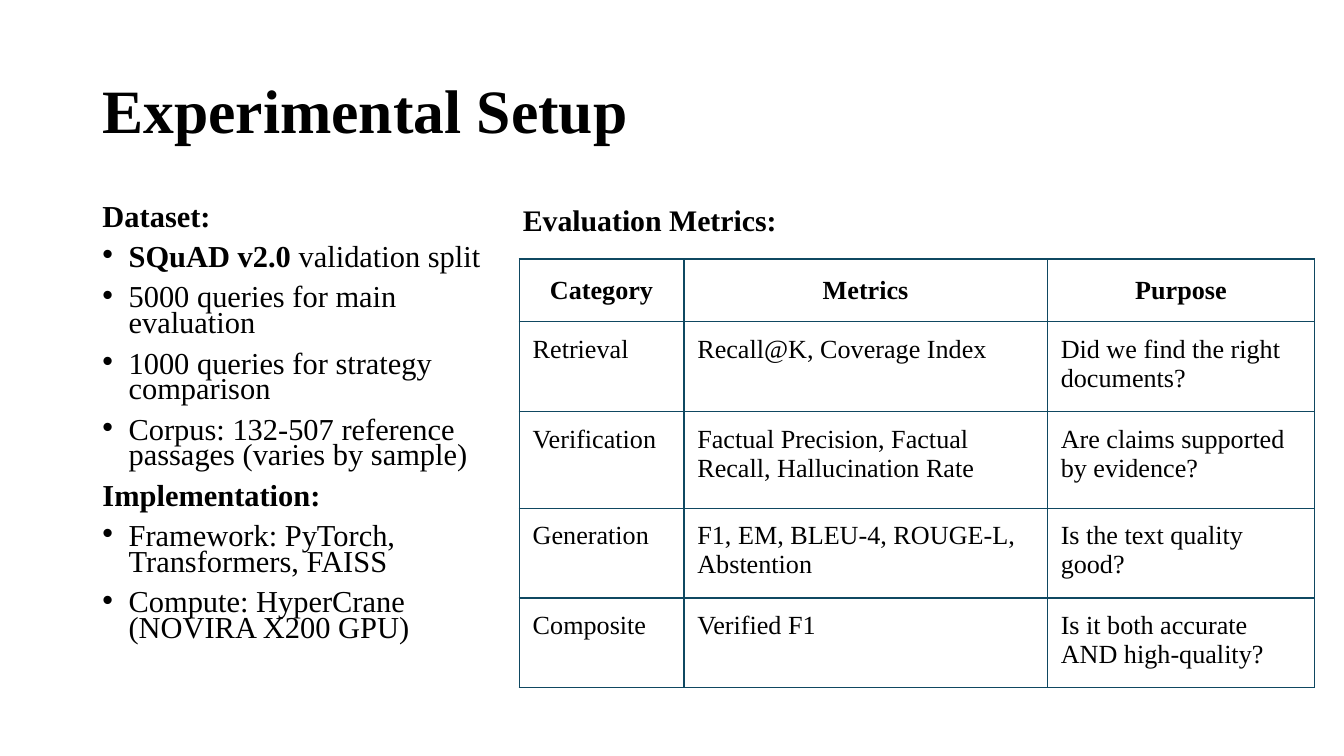
from lxml.etree import SubElement
from pptx import Presentation
from pptx.dml.color import RGBColor
from pptx.enum.text import MSO_ANCHOR, MSO_AUTO_SIZE, PP_ALIGN
from pptx.oxml.ns import qn
from pptx.util import Pt

# Content
TITLE = "Experimental Setup"
SECTIONS = [
    ("Dataset:", [
        ("SQuAD v2.0", " validation split"),
        ("", "5000 queries for main evaluation"),
        ("", "1000 queries for strategy comparison"),
        ("", "Corpus: 132-507 reference passages (varies by sample)"),
    ]),
    ("Implementation:", [
        ("", "Framework: PyTorch, Transformers, FAISS"),
        ("", "Compute: HyperCrane (NOVIRA X200 GPU)"),
    ]),
]
METRICS_HEADING = "Evaluation Metrics:"
METRICS = [
    ("Category", "Metrics", "Purpose"),
    ("Retrieval", "Recall@K, Coverage Index", "Did we find the right documents?"),
    ("Verification", "Factual Precision, Factual Recall, Hallucination Rate",
     "Are claims supported by evidence?"),
    ("Generation", "F1, EM, BLEU-4, ROUGE-L, Abstention", "Is the text quality good?"),
    ("Composite", "Verified F1", "Is it both accurate AND high-quality?"),
]

# Style and layout, in points
FONT = "Times New Roman"
BLACK = RGBColor(0x00, 0x00, 0x00)
BORDER = RGBColor(0x0F, 0x48, 0x61)
BORDER_WIDTH = Pt(0.75)
TITLE_BOX = (49.5, 21.6, 621, 78.3)
BODY_BOX = (49.5, 108, 216, 257)
HEADING_BOX = (273, 103, 236, 31.7)
TABLE_CORNER = (278.2, 138.7)
COLUMN_WIDTHS = (88.2, 194.7, 143.3)
ROW_HEIGHTS = (27.4, 42, 51.8, 44.6, 44.6)
BULLET_INDENT = 14


def set_font(paragraph, size, bold=None):
    font = paragraph.font
    font.name, font.size, font.bold = FONT, Pt(size), bold
    font.color.rgb = BLACK


def place(shape, box):
    shape.left, shape.top, shape.width, shape.height = map(Pt, box)


def set_margins(target, horizontal, vertical):
    target.margin_left = target.margin_right = Pt(horizontal)
    target.margin_top = target.margin_bottom = Pt(vertical)


def set_bullet(paragraph, indent):
    properties = paragraph._p.get_or_add_pPr()
    properties.set("marL", str(Pt(indent)))
    properties.set("indent", str(-Pt(indent)))
    if indent:
        SubElement(properties, qn("a:buFont"), typeface="Arial")
        SubElement(properties, qn("a:buChar"), char="•")
    else:
        SubElement(properties, qn("a:buNone"))


def set_borders(cell):
    properties = cell._tc.get_or_add_tcPr()
    for side in ("lnL", "lnR", "lnT", "lnB"):
        line = SubElement(properties, qn(f"a:{side}"), w=str(BORDER_WIDTH))
        fill = SubElement(line, qn("a:solidFill"))
        SubElement(fill, qn("a:srgbClr"), val=str(BORDER))


presentation = Presentation()
presentation.slide_width, presentation.slide_height = Pt(720), Pt(405)
slide = presentation.slides.add_slide(presentation.slide_layouts[1])

# Title
title = slide.shapes.title
place(title, TITLE_BOX)
frame = title.text_frame
frame.text = TITLE
frame.vertical_anchor = MSO_ANCHOR.MIDDLE
frame.auto_size = MSO_AUTO_SIZE.NONE
set_margins(frame, 5.4, 2.7)
paragraph = frame.paragraphs[0]
paragraph.alignment, paragraph.line_spacing = PP_ALIGN.LEFT, 0.9
set_font(paragraph, 33, True)

# Dataset and implementation list
body = slide.placeholders[1]
place(body, BODY_BOX)
frame = body.text_frame
frame.auto_size = MSO_AUTO_SIZE.NONE
set_margins(frame, 5.4, 2.7)
lines = []
for heading, items in SECTIONS:
    lines.append((heading, "", 0))
    lines += [(strong, plain, BULLET_INDENT) for strong, plain in items]
for index, (strong, plain, indent) in enumerate(lines):
    paragraph = frame.add_paragraph() if index else frame.paragraphs[0]
    paragraph.line_spacing = 0.7
    paragraph.space_before = Pt(8 if index else 0)
    set_bullet(paragraph, indent)
    set_font(paragraph, 16.3)
    for text, bold in ((strong, True), (plain, False)):
        if text:
            run = paragraph.add_run()
            run.text, run.font.bold = text, bold

# Metrics heading
heading_box = slide.shapes.add_textbox(*map(Pt, HEADING_BOX))
frame = heading_box.text_frame
frame.word_wrap = True
frame.auto_size = MSO_AUTO_SIZE.SHAPE_TO_FIT_TEXT
set_margins(frame, 7.2, 7.2)
frame.text = METRICS_HEADING
paragraph = frame.paragraphs[0]
paragraph.line_spacing, paragraph.space_before = 0.9, Pt(8)
set_font(paragraph, 16, True)

# Metrics table
table = slide.shapes.add_table(
    len(METRICS), len(COLUMN_WIDTHS), *map(Pt, TABLE_CORNER),
    Pt(sum(COLUMN_WIDTHS)), Pt(sum(ROW_HEIGHTS))).table
table.first_row = table.horz_banding = False
for column, width in zip(table.columns, COLUMN_WIDTHS):
    column.width = Pt(width)
for row_index, (row, height, texts) in enumerate(zip(table.rows, ROW_HEIGHTS, METRICS)):
    row.height = Pt(height)
    is_header = row_index == 0
    for cell, text in zip(row.cells, texts):
        cell.text = text
        set_margins(cell, 7.2, 7.2)
        set_borders(cell)
        cell.fill.background()
        paragraph = cell.text_frame.paragraphs[0]
        set_font(paragraph, 14, is_header)
        if is_header:
            paragraph.alignment, paragraph.line_spacing = PP_ALIGN.CENTER, 1.15

presentation.save("out.pptx")
